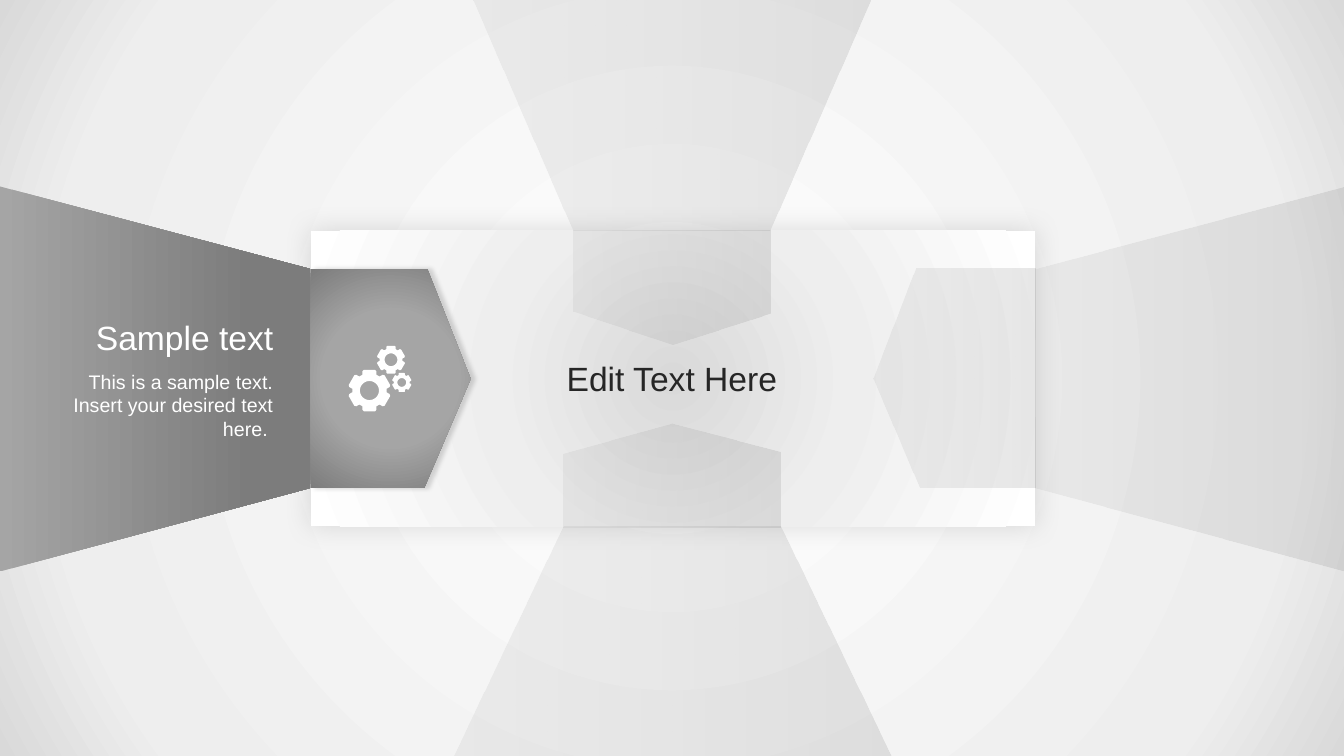
from math import cos, pi, sin

from lxml.etree import SubElement
from pptx import Presentation
from pptx.dml.color import RGBColor
from pptx.enum.shapes import MSO_SHAPE
from pptx.enum.text import MSO_ANCHOR, MSO_AUTO_SIZE, PP_ALIGN
from pptx.oxml.ns import qn
from pptx.util import Pt

WHITE = RGBColor(0xFF, 0xFF, 0xFF)
PALE = RGBColor(0xEE, 0xEE, 0xEE)
SILVER = RGBColor(0xD9, 0xD9, 0xD9)
GREY = RGBColor(0xA5, 0xA5, 0xA5)
DARK_GREY = RGBColor(0x7C, 0x7C, 0x7C)
INK = RGBColor(0x26, 0x26, 0x26)
BLACK = RGBColor(0, 0, 0)

# Gradient stops: position, colour, opacity (percent)
BACKDROP = [(0, WHITE, 100), (81, PALE, 100), (100, SILVER, 100)]
PANEL = [(0, SILVER, 100), (45, PALE, 100), (100, WHITE, 100)]
ARROW = [(0, GREY, 100), (50, GREY, 100), (100, DARK_GREY, 100)]
BAND = [(0, GREY, 100), (81, DARK_GREY, 100), (100, DARK_GREY, 100)]
GLASS = [(0, GREY, 14), (100, DARK_GREY, 18)]

# Panel edges, and the upper and lower edges of the side arrows
LEFT, TOP, RIGHT, BOTTOM = 221.8, 164.9, 739.5, 375.9
ARROW_TOP, ARROW_MIDDLE, ARROW_BOTTOM = 192.2, 270.7, 348.5
FLARE_TOP, FLARE_BOTTOM = 133.2, 408.2

# One gear tooth at unit radius: sideways, outwards
TOOTH = [(-0.34, 0.76), (-0.34, 0.93), (-0.27, 1),
         (0.27, 1), (0.34, 0.93), (0.34, 0.76)]
TEETH, HOLE_RADIUS, HOLE_STEPS = 6, 0.46, 36


def add_colour(parent, colour, opacity):
    node = SubElement(parent, qn("a:srgbClr"), val=str(colour))
    if opacity < 100:
        SubElement(node, qn("a:alpha"), val=str(opacity * 1000))


def set_gradient(fill, owner, stops, radial):
    fill.gradient()
    gradient = owner.find(".//" + qn("a:gradFill"))
    for child in list(gradient):
        gradient.remove(child)
    stop_list = SubElement(gradient, qn("a:gsLst"))
    for position, colour, opacity in stops:
        stop = SubElement(stop_list, qn("a:gs"), pos=str(position * 1000))
        add_colour(stop, colour, opacity)
    if radial:
        circle = SubElement(gradient, qn("a:path"), path="circle")
        SubElement(circle, qn("a:fillToRect"), l="50000", t="50000", r="50000", b="50000")
    else:
        SubElement(gradient, qn("a:lin"), ang="0", scaled="0")


def make_plain(shape):
    shape.line.fill.background()
    shape.shadow.inherit = False


def add_shadow(shape, opacity, blur, distance):
    effects = shape._element.spPr.find(qn("a:effectLst"))
    shadow = SubElement(effects, qn("a:outerShdw"), blurRad=str(Pt(blur)),
                        dist=str(Pt(distance)), dir="0", algn="ctr", rotWithShape="0")
    add_colour(shadow, BLACK, opacity)


def add_outline(shapes, *contours):
    contours = [[(Pt(x), Pt(y)) for x, y in contour] for contour in contours]
    builder = shapes.build_freeform(*contours[0][0])
    builder.add_line_segments(contours[0][1:])
    for contour in contours[1:]:
        builder.move_to(*contour[0])
        builder.add_line_segments(contour[1:])
    shape = builder.convert_to_shape()
    make_plain(shape)
    return shape


def add_facet(shapes, points, stops, radial=False):
    shape = add_outline(shapes, points)
    set_gradient(shape.fill, shape._element, stops, radial)
    return shape


def add_glass_ribbon(page, flare, arrow):
    group = page.shapes.add_group_shape()
    for points in (flare, arrow):
        add_facet(group.shapes, points, GLASS)


def add_gear(shapes, x, y, radius):
    rim = []
    for tooth in range(TEETH):
        angle = tooth * 2 * pi / TEETH
        for side, out in TOOTH:
            rim.append((x + radius * (side * cos(angle) + out * sin(angle)),
                        y + radius * (side * sin(angle) - out * cos(angle))))
    hole = []
    for step in range(HOLE_STEPS):
        angle = -step * 2 * pi / HOLE_STEPS
        hole.append((x + radius * HOLE_RADIUS * cos(angle),
                     y + radius * HOLE_RADIUS * sin(angle)))
    gear = add_outline(shapes, rim, hole)
    gear.fill.solid()
    gear.fill.fore_color.rgb = WHITE


def add_text(page, frame, lines, size, colour, align, wrap=True, anchor=MSO_ANCHOR.TOP):
    box = page.shapes.add_textbox(*[Pt(length) for length in frame])
    text = box.text_frame
    text.word_wrap = wrap
    text.auto_size = MSO_AUTO_SIZE.SHAPE_TO_FIT_TEXT
    text.vertical_anchor = anchor
    text.text = "\n".join(lines)
    for paragraph in text.paragraphs:
        paragraph.alignment = align
        paragraph.font.name = "Arial"
        paragraph.font.size = Pt(size)
        paragraph.font.color.rgb = colour


def main():
    deck = Presentation()
    deck.slide_width, deck.slide_height = Pt(960), Pt(540)
    page = deck.slides.add_slide(deck.slide_layouts[6])
    set_gradient(page.background.fill, page._element, BACKDROP, radial=True)

    # Central panel
    panel = page.shapes.add_shape(MSO_SHAPE.RECTANGLE, Pt(LEFT), Pt(TOP),
                                  Pt(RIGHT - LEFT), Pt(BOTTOM - TOP))
    make_plain(panel)
    set_gradient(panel.fill, panel._element, PANEL, radial=True)
    add_shadow(panel, 13, 20, 0)

    # Highlighted left ribbon
    arrow = add_facet(page.shapes, [(LEFT, ARROW_TOP), (305.3, ARROW_TOP), (336.2, ARROW_MIDDLE),
                                    (303.1, ARROW_BOTTOM), (LEFT, ARROW_BOTTOM)],
                      ARROW, radial=True)
    add_shadow(arrow, 14, 3, 3)
    add_facet(page.shapes, [(0, FLARE_TOP), (LEFT, ARROW_TOP),
                            (LEFT, ARROW_BOTTOM), (0, FLARE_BOTTOM)], BAND)

    # Gears icon
    icon = page.shapes.add_group_shape()
    for x, y, radius in [(263.9, 279, 14.8), (279.3, 257, 9.9), (287, 273.2, 6.8)]:
        add_gear(icon.shapes, x, y, radius)

    # Texts
    add_text(page, (41, 260.6, 161.3, 58.3),
             ["This is a sample text.", "Insert your desired text here. "],
             14, WHITE, PP_ALIGN.RIGHT)
    add_text(page, (54, 222.5, 148.3, 36), ["Sample text"], 24, WHITE, PP_ALIGN.RIGHT)
    add_text(page, (396.7, 252, 166.3, 36), ["Edit Text Here"], 24, INK, PP_ALIGN.CENTER,
             wrap=False, anchor=MSO_ANCHOR.MIDDLE)

    # Right, bottom and top ribbons
    add_glass_ribbon(page,
                     [(961.2, FLARE_TOP), (961.2, FLARE_BOTTOM),
                      (RIGHT, ARROW_BOTTOM), (RIGHT, ARROW_TOP)],
                     [(654.5, ARROW_TOP), (RIGHT, ARROW_TOP), (RIGHT, ARROW_BOTTOM),
                      (657.4, ARROW_BOTTOM), (624.2, ARROW_MIDDLE)])
    add_glass_ribbon(page,
                     [(402.5, BOTTOM), (557.3, BOTTOM), (636.5, 540), (324, 540)],
                     [(480.2, 302.4), (557.3, 322.6), (557.3, 376.6),
                      (402.5, 376.6), (402.5, 324)])
    add_glass_ribbon(page,
                     [(338.4, 0.7), (622.1, 0.7), (550.1, TOP), (409.7, TOP)],
                     [(409.7, TOP), (550.1, TOP), (550.1, 223.9),
                      (480.2, 246.2), (409.7, 222.5)])

    deck.save("out.pptx")


if __name__ == "__main__":
    main()
